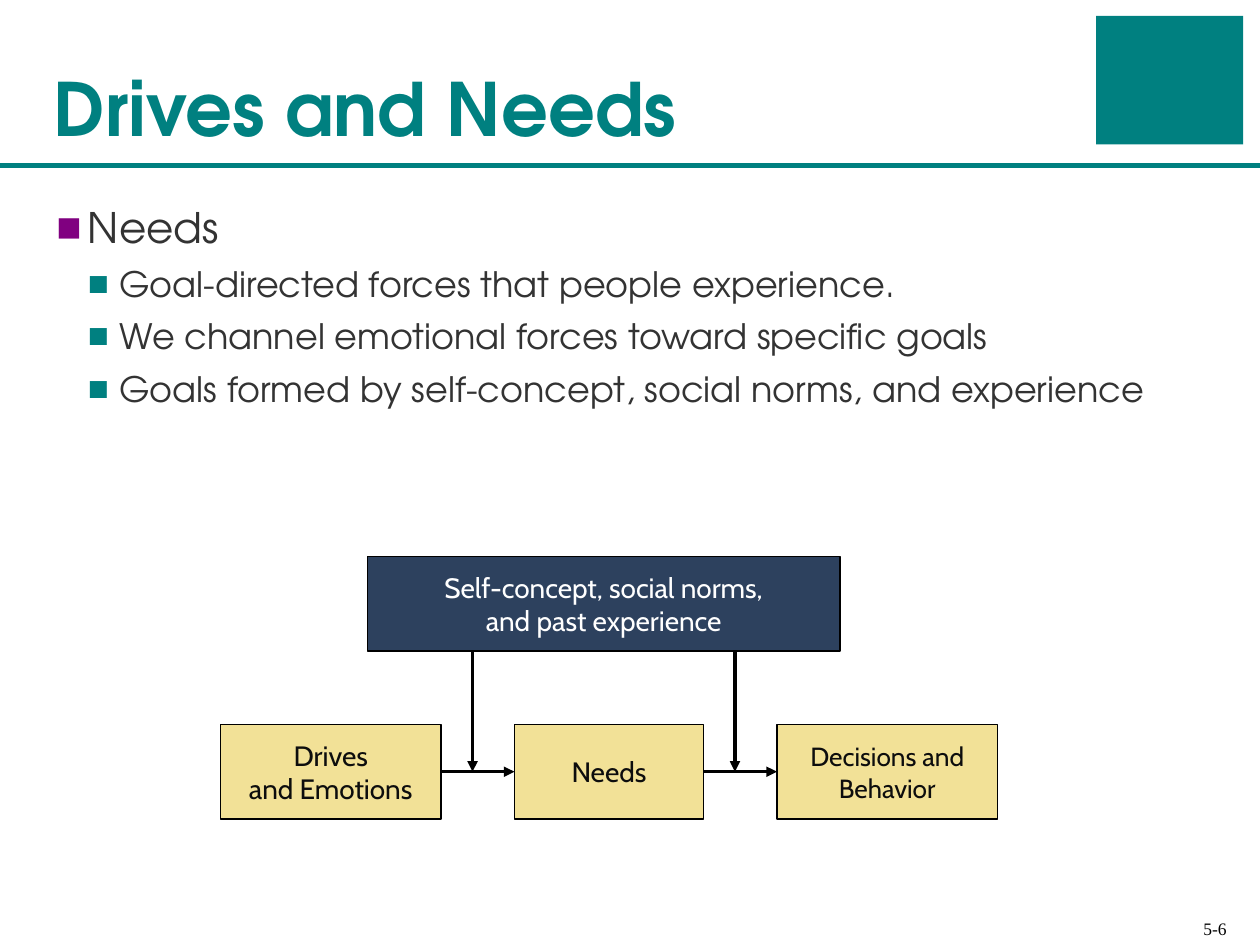
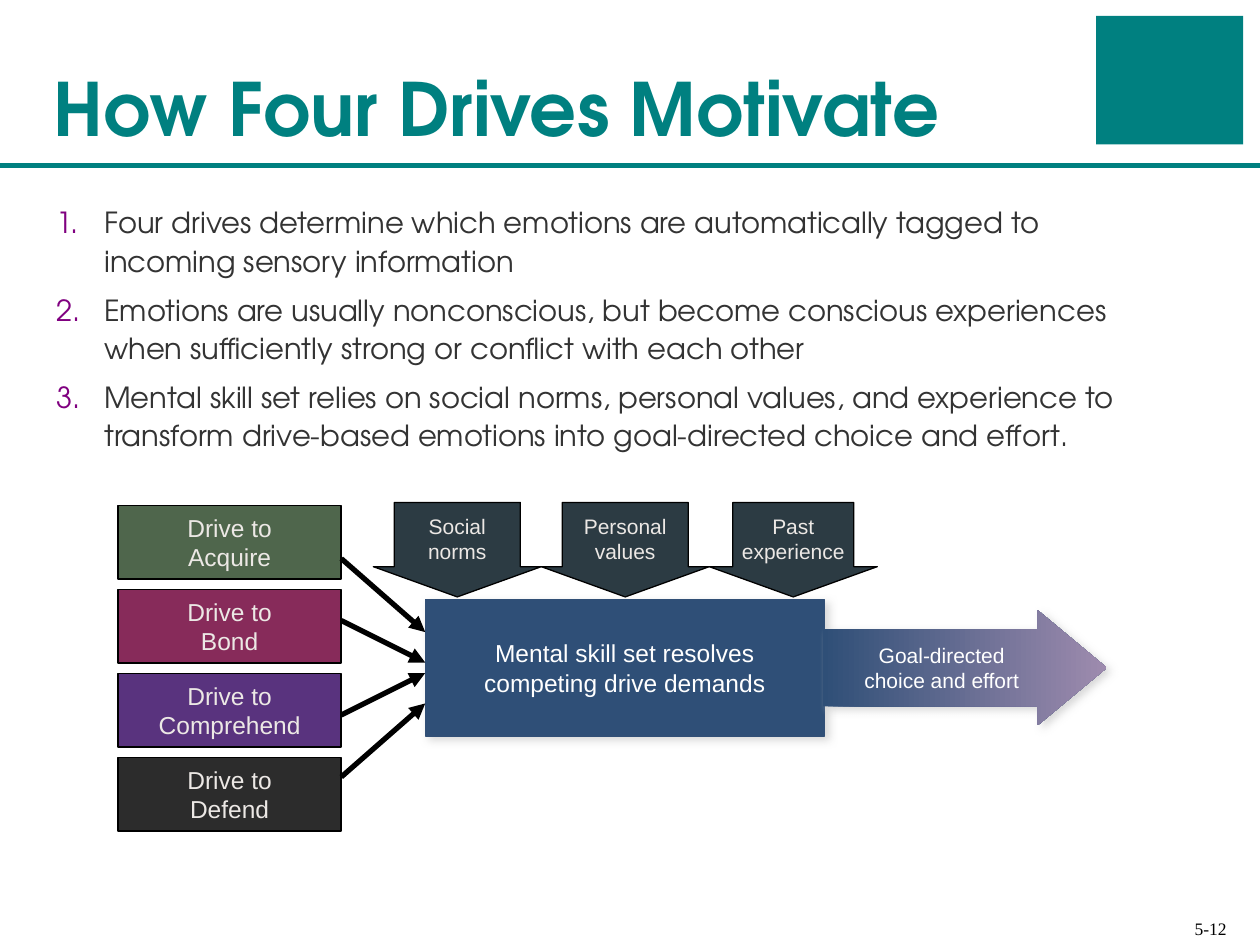
from lxml import etree
from pptx import Presentation
from pptx import util as u
from pptx.dml.color import RGBColor
from pptx.enum import shapes, text
from pptx.oxml.ns import qn

COLS, ROWS = 120, 90
WIDTH, HEIGHT = u.Inches(10), u.Inches(7.5)
COLORS = {
    "teal": "008080", "purple": "800080", "body": "333333", "black": "000000",
    "white": "FFFFFF", "navy": "2D415E", "sand": "F2E197", "ink": "0D0D0D",
    "green": "4F664C", "berry": "872B5A", "violet": "59337E", "coal": "2C2C2C",
    "slate": "2C3B43", "blue": "2F4F77", "edge": "314F76", "lilac": "9E8BAE",
    "pale": "ECE8E5", "shadow": "CCCCCC",
}
HEAD_FONT = "TeX Gyre Adventor"
RECT = shapes.MSO_SHAPE.RECTANGLE
LEFT, CENTER, RIGHT = text.PP_ALIGN.LEFT, text.PP_ALIGN.CENTER, text.PP_ALIGN.RIGHT
TOP, MIDDLE, BOTTOM = text.MSO_ANCHOR.TOP, text.MSO_ANCHOR.MIDDLE, text.MSO_ANCHOR.BOTTOM


def rgb(name):
    """Return the named colour."""
    return RGBColor.from_string(COLORS[name])


def x(col):
    """Turn grid columns into a length."""
    return u.Emu(round(col * WIDTH / COLS))


def y(row):
    """Turn grid rows into a length."""
    return u.Emu(round(row * HEIGHT / ROWS))


def box(col, row, cols, rows):
    """Turn a grid area into left, top, width and height."""
    return x(col), y(row), x(cols), y(rows)


def add_xml(parent, tag, **attrs):
    """Append a drawing element and return it."""
    return etree.SubElement(parent, qn(tag), attrs)


def write(sp, *lines, size=16, font="Arial", color="black", bold=False,
          align=LEFT, anchor=MIDDLE, inset=0.1):
    """Fill a shape with one formatted paragraph per line and return them."""
    tf = sp.text_frame
    tf.word_wrap = True
    tf.auto_size = text.MSO_AUTO_SIZE.NONE
    tf.vertical_anchor = anchor
    tf.margin_left = tf.margin_right = u.Inches(inset)
    tf.margin_top = tf.margin_bottom = u.Inches(0.05)
    for i, line in enumerate(lines):
        p = tf.add_paragraph() if i else tf.paragraphs[0]
        p.text = line
        p.alignment = align
        for r in p.runs:
            r.font.size, r.font.name, r.font.bold = u.Pt(size), font, bold
            r.font.color.rgb = rgb(color)
        for br in p._p.findall(qn("a:br")):
            add_xml(br, "a:rPr", sz=str(size * 100))
    return tf.paragraphs


def add_bullet(p, indent, hang, color, char=None):
    """Give a paragraph a hanging square bullet, or a number without a char."""
    pPr = p._p.get_or_add_pPr()
    pPr.set("marL", str(u.Inches(indent)))
    pPr.set("indent", str(-u.Inches(hang)))
    add_xml(add_xml(pPr, "a:buClr"), "a:srgbClr", val=COLORS[color])
    if char:
        add_xml(pPr, "a:buFont", typeface="Arial")
        add_xml(pPr, "a:buChar", char=char)
    else:
        add_xml(pPr, "a:buFont", typeface=HEAD_FONT)
        add_xml(pPr, "a:buAutoNum", type="arabicPeriod")


def add_block(s, area, fill, line="black", kind=RECT, adjust=()):
    """Add a filled preset shape without a shadow."""
    sp = s.shapes.add_shape(kind, *box(*area))
    sp.shadow.inherit = False
    for i, value in enumerate(adjust):
        sp.adjustments[i] = value
    sp.fill.solid()
    sp.fill.fore_color.rgb = rgb(fill)
    if line:
        sp.line.color.rgb = rgb(line)
        sp.line.width = u.Pt(0.75)
    else:
        sp.line.fill.background()
    return sp


def add_shadow(sp):
    """Cast a soft shadow to the lower right."""
    shadow = add_xml(sp._element.spPr.find(qn("a:effectLst")), "a:outerShdw",
                     blurRad=str(u.Pt(5)), dist=str(u.Pt(3)), dir=str(45 * 60000))
    add_xml(add_xml(shadow, "a:srgbClr", val=COLORS["shadow"]), "a:alpha", val="75000")


def add_line(s, start, end, color="black", width=2, arrow=True):
    """Draw a straight line between two grid points."""
    line = s.shapes.add_connector(shapes.MSO_CONNECTOR.STRAIGHT, x(start[0]), y(start[1]),
                                  x(end[0]), y(end[1]))
    line.line.color.rgb = rgb(color)
    line.line.width = u.Pt(width)
    if arrow:
        add_xml(line.line._get_or_add_ln(), "a:tailEnd", type="triangle")
    add_xml(line._element.spPr, "a:effectLst")
    return line


def add_base(prs, title, number):
    """Add a slide with the shared title, corner block, rule and page number."""
    s = prs.slides.add_slide(prs.slide_layouts[5])
    add_block(s, (104.4, 1.5, 14, 12.25), "teal", None)
    add_line(s, (0, 15.75), (COLS, 15.75), "teal", 2.5, False)
    write(s.shapes.add_textbox(*box(89.2, 85.5, 28.8, 4.5)), number,
          size=10, font="Times New Roman", align=RIGHT, anchor=BOTTOM)
    sp = s.shapes.title
    sp.left, sp.top, sp.width, sp.height = box(3.9, 0, 99.6, 15)
    write(sp, title, size=42, font=HEAD_FONT, color="teal", bold=True, anchor=BOTTOM)
    return s


def add_body(s, rows, *lines, size):
    """Add the body text under the rule and return its paragraphs."""
    return write(s.shapes.add_textbox(*box(4.2, 18.6, 107.8, rows)), *lines,
                 size=size, font=HEAD_FONT, color="body", anchor=TOP)


def build_needs(prs):
    """Build the slide on drives and needs."""
    s = add_base(prs, "Drives and Needs", "5-6")
    head, *points = add_body(
        s, 27.4, "Needs",
        "Goal-directed forces that people experience.",
        "We channel emotional forces toward specific goals",
        "Goals formed by self-concept, social norms, and experience", size=20)
    head.runs[0].font.size = u.Pt(24)
    head.space_before = u.Pt(18)
    add_bullet(head, 0.25, 0.25, "purple", "■")
    for p in points:
        p.level = 1
        p.space_before = u.Pt(6)
        add_bullet(p, 0.5, 0.25, "teal", "■")

    write(add_block(s, (35, 53, 45, 9), "navy"),
          "Self-concept, social norms,\nand past experience",
          font="Cabin", color="white", align=CENTER)
    steps = []
    for col, cols, size, lines in (
            (21, 21, 16, ("Drives", "and Emotions")),
            (49, 18, 16, ("Needs",)),
            (74, 21, 15, ("Decisions and Behavior",))):
        step = add_block(s, (col, 69, cols, 9), "sand")
        write(step, *lines, size=size, font="Cabin", color="ink", align=CENTER)
        steps.append(step)
    for before, after in zip(steps, steps[1:]):
        flow = add_line(s, (0, 0), (1, 1))
        flow.begin_connect(before, 3)
        flow.end_connect(after, 1)
    for col in (45, 70):
        add_line(s, (col, 62), (col, 73.5))


def build_motivation(prs):
    """Build the slide on how the four drives motivate."""
    s = add_base(prs, "How Four Drives Motivate", "5-12")
    for p in add_body(
            s, 28.3,
            "Four drives determine which emotions are automatically tagged to "
            "incoming sensory information",
            "Emotions are usually nonconscious, but become conscious experiences "
            "when sufficiently strong or conflict with each other",
            "Mental skill set relies on social norms, personal values, and experience "
            "to transform drive-based emotions into goal-directed choice and effort.",
            size=16.6):
        p.line_spacing = 1.1
        p.space_before = u.Pt(6)
        add_bullet(p, 0.38, 0.38, "purple")

    drives = (("Acquire", "green"), ("Bond", "berry"),
              ("Comprehend", "violet"), ("Defend", "coal"))
    for i, (drive, fill) in enumerate(drives):
        write(add_block(s, (11.25, 48.15 + 8 * i, 21.25, 7), fill), f"Drive to {drive}",
              size=14, color="pale", align=CENTER, inset=0.31)

    influences = (("Social norms", 0.75, 0.2), ("Personal values", 0.75, 0.08),
                  ("Past experience", 0.72, 0))
    for i, (influence, shaft, inset) in enumerate(influences):
        sp = add_block(s, (35.55 + 16 * i, 47.85, 16, 9), "slate",
                       kind=shapes.MSO_SHAPE.DOWN_ARROW, adjust=(shaft, 0.32))
        write(sp, influence, size=12, color="pale", align=CENTER, inset=inset)

    skills = add_block(s, (40.5, 57.1, 38, 13), "blue", "edge")
    add_shadow(skills)
    write(skills, "Mental skill set resolves competing drive demands",
          size=14, color="white", align=CENTER, inset=0.3)

    effort = add_block(s, (78.4, 58.1, 27, 11), "blue", None,
                       shapes.MSO_SHAPE.RIGHT_ARROW, (0.67, 0.6))
    effort.fill.gradient()
    effort.fill.gradient_angle = 0
    for stop, position, color in zip(effort.fill.gradient_stops, (0, 1), ("blue", "lilac")):
        stop.position = position
        stop.color.rgb = rgb(color)
    add_shadow(effort)
    write(effort, "Goal-directed\nchoice and effort",
          size=12, color="white", align=CENTER, inset=0.3)

    center = 63.6
    for start, end in ((-10.4, -3.4), (-4.5, -0.5), (4.5, 0.5), (10.4, 3.4)):
        add_line(s, (32.5, center + start), (40.5, center + end), width=3)


def main():
    """Build and save the presentation."""
    prs = Presentation()
    prs.slide_width, prs.slide_height = WIDTH, HEIGHT
    build_needs(prs)
    build_motivation(prs)
    prs.save("out.pptx")


if __name__ == "__main__":
    main()
